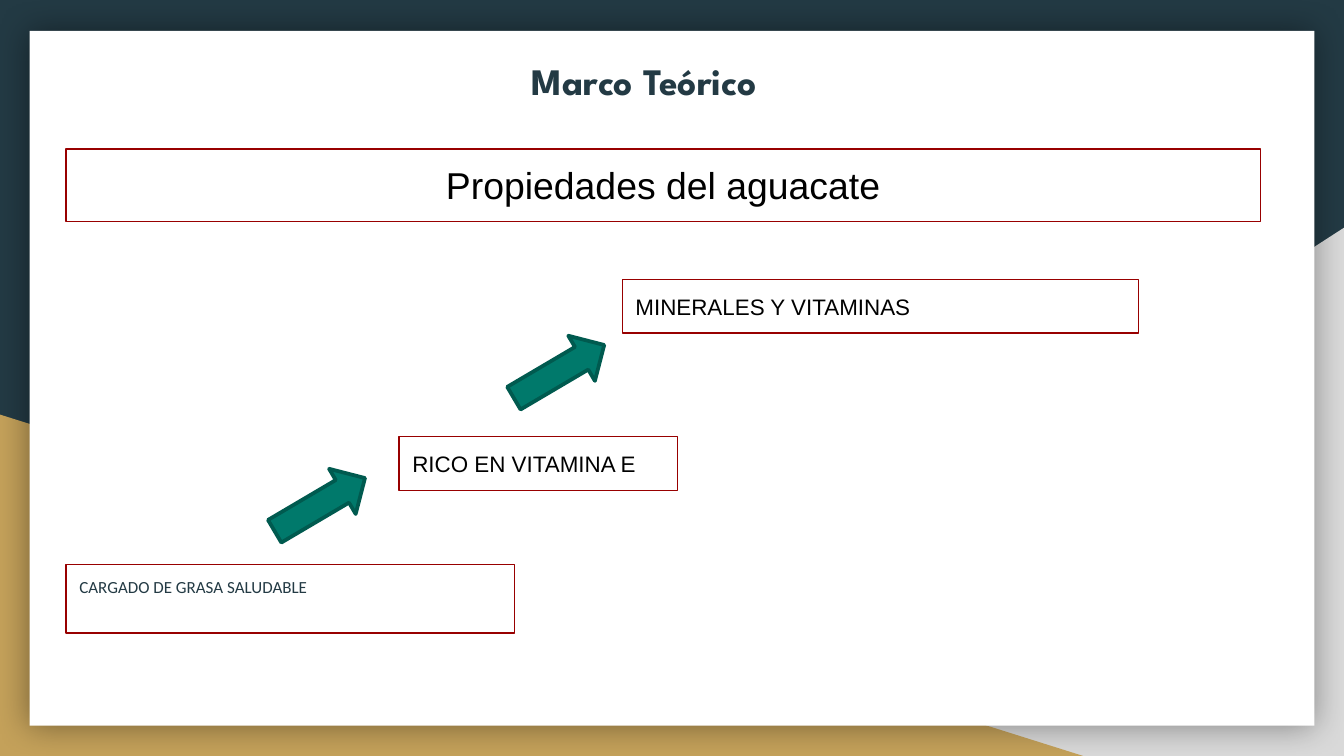
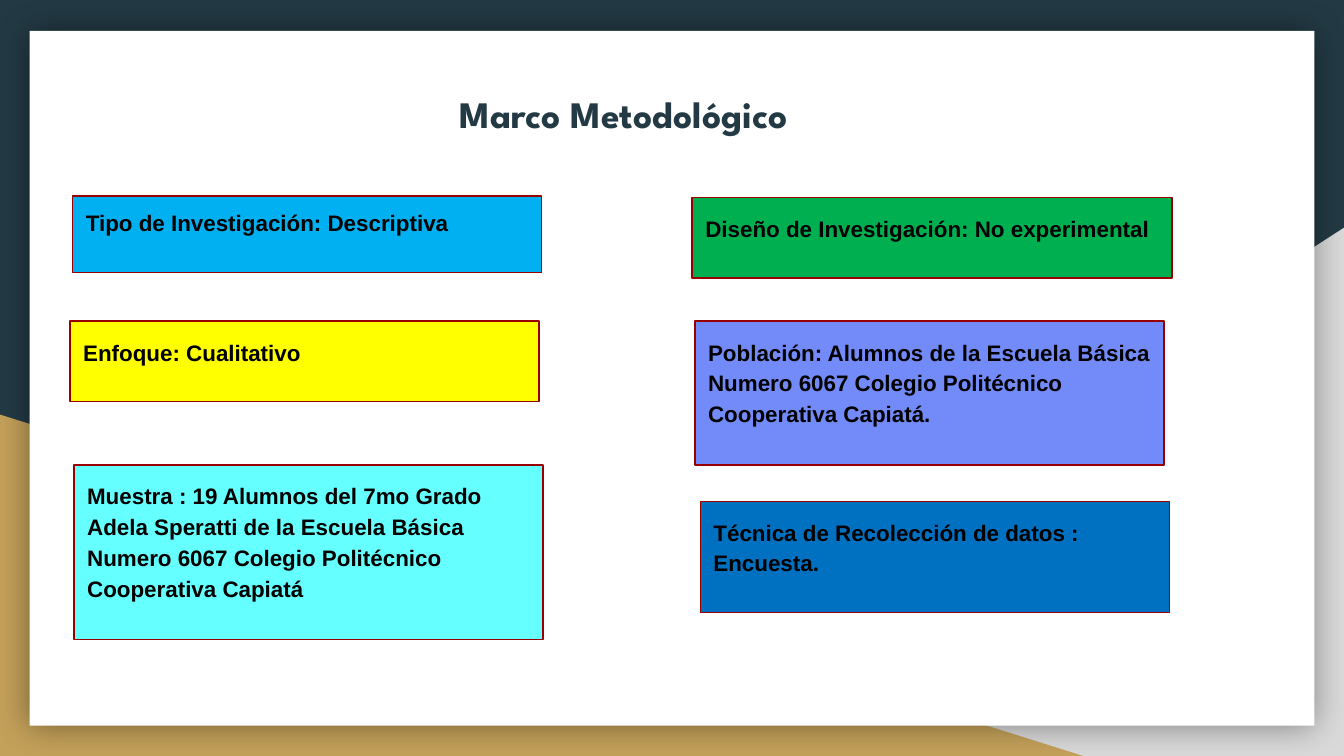
from lxml.etree import SubElement
from pptx import Presentation
from pptx.dml.color import RGBColor
from pptx.enum.shapes import MSO_SHAPE
from pptx.enum.text import MSO_ANCHOR, MSO_AUTO_SIZE, PP_ALIGN
from pptx.oxml.ns import qn
from pptx.util import Inches, Pt

COLORS = {
    "navy": "233A44", "grey": "D9D9D9", "gold": "C4A15A", "white": "FFFFFF",
    "black": "000000", "border": "980000", "arrow": "00796B", "arrow_edge": "005A4F",
    "sky": "00B0F0", "green": "00B050", "yellow": "FFFF00",
    "violet": "738BF9", "cyan": "66FFFF", "blue": "0070C0",
}
WIDTH = 10
HEIGHT = WIDTH * 9 / 16
MARGIN = Inches(0.1)
LEFT, CENTER, JUSTIFY = PP_ALIGN.LEFT, PP_ALIGN.CENTER, PP_ALIGN.JUSTIFY


def rgb(name):
    """Return the palette colour called name."""
    return RGBColor.from_string(COLORS[name])


def place(shape, box):
    """Move and size a shape to a box in inches."""
    shape.left, shape.top, shape.width, shape.height = map(Inches, box)


def outline(shape, color, weight):
    """Give a shape a solid outline."""
    shape.line.color.rgb = rgb(color)
    shape.line.width = Pt(weight)


def add_preset(slide, preset, box, fill=None, line=None, weight=0.75):
    """Add a preset shape with flat fill, optional outline and no shadow."""
    shape = slide.shapes.add_shape(preset, *map(Inches, box))
    shape.shadow.inherit = False
    if fill:
        shape.fill.solid()
        shape.fill.fore_color.rgb = rgb(fill)
    else:
        shape.fill.background()
    if line:
        outline(shape, line, weight)
    else:
        shape.line.fill.background()
    return shape


def write(shape, text, size, font="Arial", color="black", bold=False, align=LEFT,
          spacing=1.0, after=0, fit=MSO_AUTO_SIZE.NONE):
    """Write one formatted paragraph at the top of a shape."""
    frame = shape.text_frame
    frame.text = text
    frame.word_wrap = True
    frame.auto_size = fit
    frame.vertical_anchor = MSO_ANCHOR.TOP
    frame.margin_left = frame.margin_right = MARGIN
    frame.margin_top = frame.margin_bottom = MARGIN
    paragraph = frame.paragraphs[0]
    paragraph.alignment = align
    paragraph.line_spacing = spacing
    paragraph.space_before, paragraph.space_after = Pt(0), Pt(after)
    for run in paragraph.runs:
        run.font.name, run.font.size, run.font.bold = font, Pt(size), bold
        run.font.color.rgb = rgb(color)


def add_label(slide, box, text, fill=None, size=12, **style):
    """Add a red-bordered label that fits its text."""
    label = add_preset(slide, MSO_SHAPE.RECTANGLE, box, fill, "border")
    write(label, text, size, fit=MSO_AUTO_SIZE.SHAPE_TO_FIT_TEXT, **style)


def add_title(slide, box, text, align):
    """Fill and place the title placeholder."""
    place(slide.shapes.title, box)
    write(slide.shapes.title, text, 20, "League Spartan", "navy", True, align)


def add_body(slide, box, text):
    """Turn the body placeholder into a bordered text without a bullet."""
    body = slide.placeholders[1]
    place(body, box)
    outline(body, "border", 0.75)
    write(body, text, 9.1, "Calibri", "navy", align=JUSTIFY, spacing=0.95, after=12)
    properties = body.element.txBody.find(qn("a:p")).get_or_add_pPr()
    properties.set("marL", "0")
    properties.set("indent", "0")
    SubElement(properties, qn("a:buNone"))


def add_card_shadow(card):
    """Give the white card a soft shadow on all sides."""
    effects = card.element.spPr.find(qn("a:effectLst"))
    shadow = SubElement(effects, qn("a:outerShdw"), blurRad=str(Pt(18)), dist="0",
                        dir="0", algn="ctr", rotWithShape="0")
    color = SubElement(shadow, qn("a:srgbClr"), val=COLORS["black"])
    SubElement(color, qn("a:alpha"), val="40000")


def build_backdrop(master, slide):
    """Draw the background, triangles and card, then hand them to the master."""
    master.background.fill.solid()
    master.background.fill.fore_color.rgb = rgb("navy")
    right = add_preset(slide, MSO_SHAPE.RIGHT_TRIANGLE,
                       (WIDTH - 6.08, HEIGHT - 3.93, 6.08, 3.93), "grey")
    right.element.spPr.find(qn("a:xfrm")).set("flipH", "1")
    left = add_preset(slide, MSO_SHAPE.RIGHT_TRIANGLE,
                      (0, HEIGHT - 2.54, 8.06, 2.54), "gold")
    card = add_preset(slide, MSO_SHAPE.RECTANGLE,
                      (0.22, 0.23, WIDTH - 0.44, 5.17), "white")
    add_card_shadow(card)
    for position, part in enumerate((right, left, card), start=2):
        master.shapes.element.insert(position, part.element)


def build_properties(slide, box):
    """Show the avocado's properties as a rising staircase within a box."""
    left, top, width, height = box
    add_body(slide, (left, top + height - 0.51, 3.34, 0.51), "CARGADO DE GRASA SALUDABLE")
    add_label(slide, (left, top, width, 0.54), "Propiedades del aguacate",
              size=20, align=CENTER)
    steps = (
        (2.48, 2.14, 2.07, "RICO EN VITAMINA E"),
        (4.14, 0.97, 3.84, "MINERALES Y VITAMINAS"),
    )
    for x, y, step_width, text in steps:
        add_label(slide, (left + x, top + y, step_width, 0.4), text, align=JUSTIFY)
    for step in range(len(steps)):
        arrow_box = (left + 1.5 + 1.78 * step, top + 2.45 - 0.99 * step, 0.78, 0.39)
        arrow = add_preset(slide, MSO_SHAPE.RIGHT_ARROW, arrow_box,
                           "arrow", "arrow_edge", 2)
        arrow.rotation = 329.5


def build_method(slide, box):
    """Lay out the six method cards relative to a box."""
    left, top = box[:2]
    cards = (
        (0.02, 0, 3.49, 0.57, "sky", JUSTIFY, 1.0, "Tipo de Investigación: Descriptiva"),
        (4.63, 0.01, 3.57, 0.6, "green", JUSTIFY, 1.15,
         "Diseño de Investigación: No experimental"),
        (0, 0.93, 3.49, 0.6, "yellow", LEFT, 1.15, "Enfoque: Cualitativo"),
        (4.65, 0.93, 3.49, 1.07, "violet", LEFT, 1.15,
         "Población: Alumnos de la Escuela Básica Numero 6067 "
         "Colegio Politécnico Cooperativa Capiatá."),
        (0.03, 2, 3.49, 1.3, "cyan", LEFT, 1.15,
         "Muestra : 19 Alumnos del 7mo Grado Adela Speratti de la Escuela Básica "
         "Numero 6067 Colegio Politécnico Cooperativa Capiatá"),
        (4.69, 2.27, 3.49, 0.83, "blue", LEFT, 1.15,
         "Técnica de Recolección de datos : Encuesta."),
    )
    for x, y, width, height, fill, align, spacing, text in cards:
        add_label(slide, (left + x, top + y, width, height), text, fill,
                  bold=True, align=align, spacing=spacing, after=12)


def main():
    """Build both slides and save the presentation."""
    deck = Presentation()
    deck.slide_width, deck.slide_height = Inches(WIDTH), Inches(HEIGHT)
    theory = deck.slides.add_slide(deck.slide_layouts.get_by_name("Title and Content"))
    build_backdrop(deck.slide_master, theory)
    add_title(theory, (0.69, 0.33, 8.21, 0.67), "Marco Teórico", CENTER)
    build_properties(theory, (0.49, 1.11, 8.89, 3.6))

    method = deck.slides.add_slide(deck.slide_layouts.get_by_name("Title Only"))
    add_title(method, (3.32, 0.58, 4.27, 0.8), "Marco Metodológico", LEFT)
    build_method(method, (0.52, 1.46, 8.2, 3.3))
    deck.save("out.pptx")


if __name__ == "__main__":
    main()
